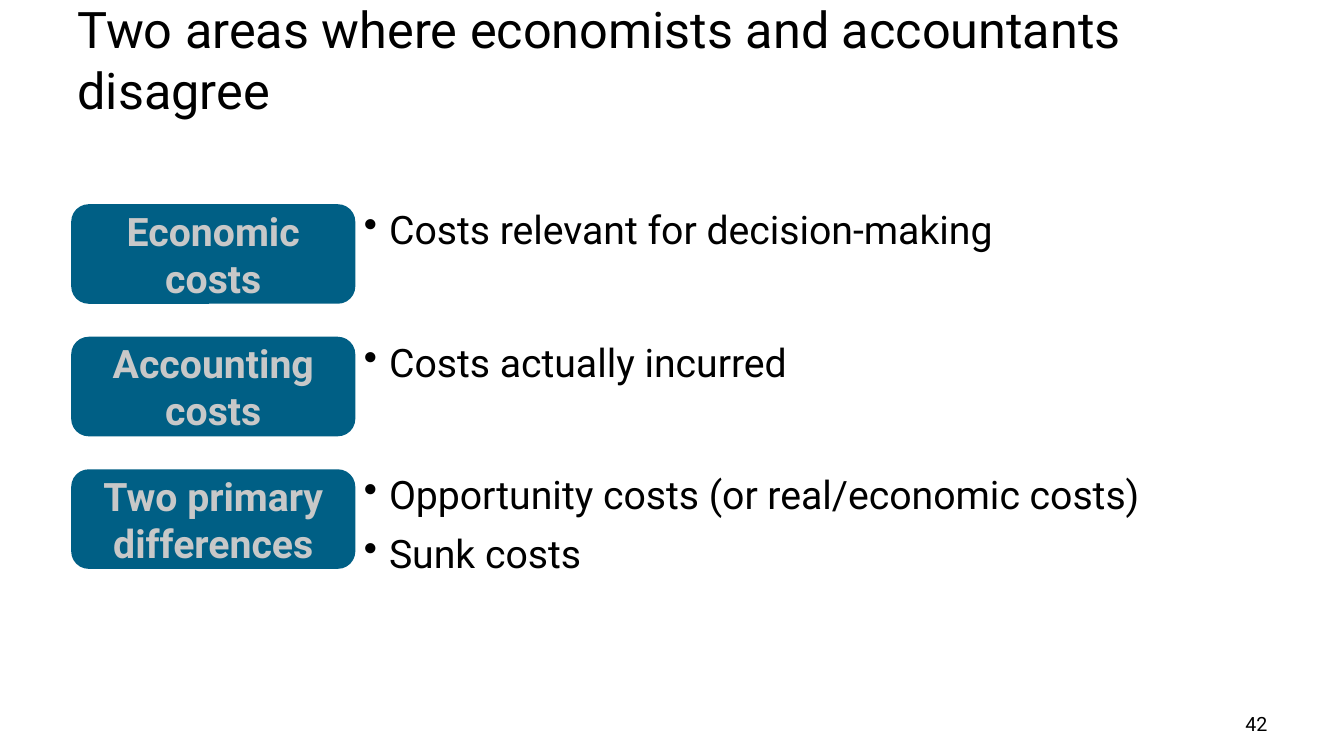
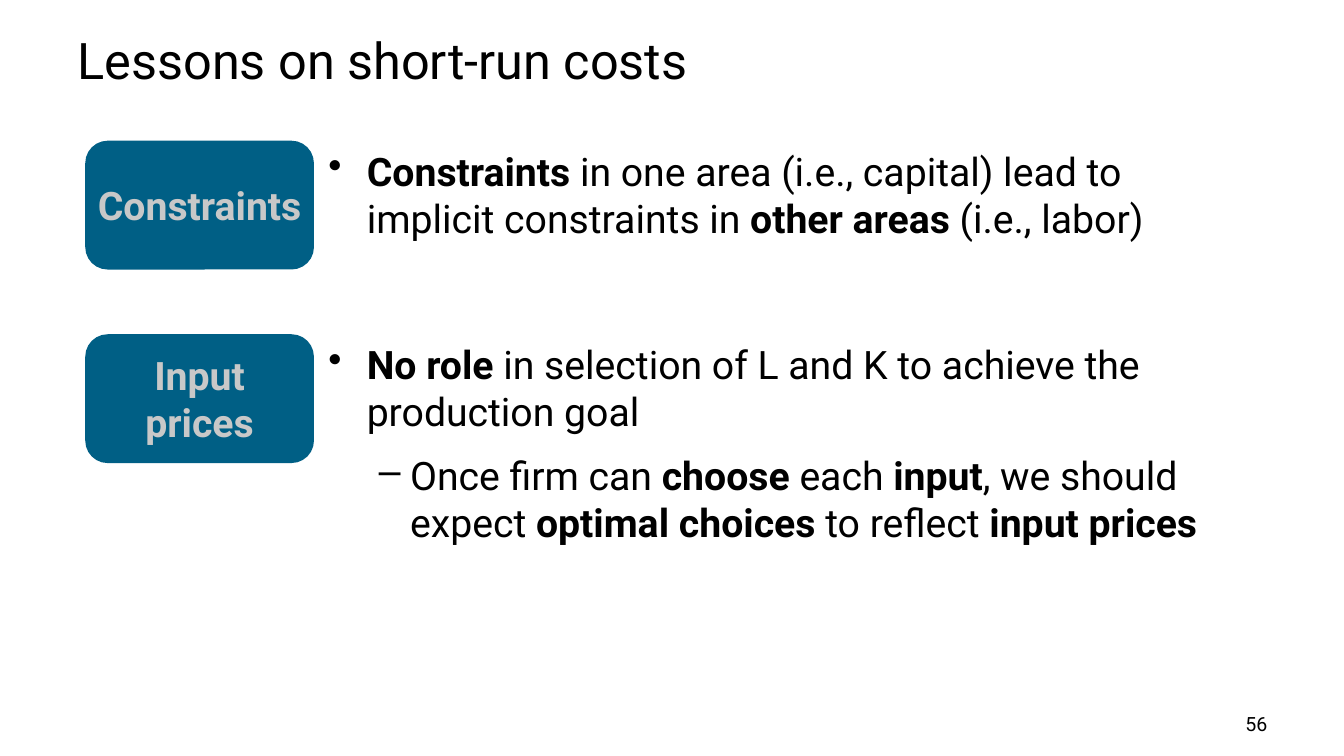
"""Build two slides on economic, accounting and short-run costs."""
from pptx import Presentation
from pptx.dml.color import RGBColor
from pptx.enum.shapes import MSO_SHAPE as SHAPE
from pptx.enum.text import MSO_ANCHOR as ANCHOR, PP_ALIGN as ALIGN
from pptx.util import Inches, Pt
from lxml.etree import SubElement
from pptx.oxml.ns import qn

FONT, BLACK, BLUE, GREY = "Roboto", "000000", "005F85", "C8C8C8"

slides = [
    dict(title="Two areas where economists and accountants disagree", number="42",
         left=0.72, top=2.04, pitch=1.315, size=(2.79, 0.96),
         text_left=3.51, text_width=9.01, indents=[(0.25, 0.25)], spacing=0.9,
         rows=[("Economic costs", 0.1, [(0, "Costs relevant for decision-making")]),
               ("Accounting costs", 0.1, [(0, "Costs actually incurred")]),
               ("Two primary differences", 0.1,
                [(0, "Opportunity costs (or real/economic costs)"), (0, "Sunk costs")])]),
    dict(title="Lessons on short-run costs", number="56",
         left=0.86, top=1.41, pitch=1.92, size=(2.24, 1.25),
         text_left=3.16, text_width=9.1, indents=[(0.38, 0.38), (0.81, 0.31)], spacing=None,
         rows=[("Constraints", 0,
                [(0, "**Constraints **in one area (i.e., capital) lead to implicit "
                     "constraints in **other areas **(i.e., labor)")]),
               ("Input prices", 0.1,
                [(0, "**No role **in selection of L and K to achieve the production goal"),
                 (1, "Once firm can **choose **each **input**, we should expect "
                     "**optimal choices **to reflect **input prices**")])]),
]


def write(paragraph, text, size, color=BLACK, align=ALIGN.LEFT):
    paragraph.alignment = align
    for i, part in enumerate(text.split("**")):
        if part:
            run = paragraph.add_run()
            run.text = part
            style = dict(name=FONT, size=Pt(size), bold=i % 2 == 1)
            for key, value in style.items():
                setattr(run.font, key, value)
            run.font.color.rgb = RGBColor.from_string(color)


def text_frame(slide, left, top, width, height, anchor=ANCHOR.TOP):
    box = slide.shapes.add_textbox(Inches(left), Inches(top), Inches(width), Inches(height))
    box.text_frame.word_wrap = True
    box.text_frame.vertical_anchor = anchor
    return box.text_frame


deck = Presentation()
deck.slide_width, deck.slide_height = Inches(13.33), Inches(7.5)

for content in slides:
    slide = deck.slides.add_slide(deck.slide_layouts[6])
    title = text_frame(slide, 0.67, 0.23, 12, 0.71, ANCHOR.MIDDLE)
    write(title.paragraphs[0], content["title"], 36)
    number = text_frame(slide, 9.56, 7.01, 3.11, 0.34)
    write(number.paragraphs[0], content["number"], 14, align=ALIGN.RIGHT)

    width, height = content["size"]
    for i, (term, inset, points) in enumerate(content["rows"]):
        top = content["top"] + i * content["pitch"]
        label = slide.shapes.add_shape(SHAPE.ROUNDED_RECTANGLE, Inches(content["left"]),
                                       Inches(top), Inches(width), Inches(height))
        label.shadow.inherit = False
        label.fill.solid()
        label.fill.fore_color.rgb = label.line.color.rgb = RGBColor.from_string(BLUE)
        label.line.width = Pt(2)
        frame = label.text_frame
        frame.word_wrap = True
        frame.vertical_anchor = ANCHOR.MIDDLE
        frame.margin_left = frame.margin_right = Inches(inset)
        write(frame.paragraphs[0], f"**{term}**", 28, GREY, ALIGN.CENTER)

        body = text_frame(slide, content["text_left"], top, content["text_width"], height)
        for j, (level, point) in enumerate(points):
            paragraph = body.paragraphs[0] if j == 0 else body.add_paragraph()
            margin, hanging = content["indents"][level]
            properties = paragraph._p.get_or_add_pPr()
            properties.set("marL", str(Inches(margin)))
            properties.set("indent", str(-Inches(hanging)))
            SubElement(properties, qn("a:buChar")).set("char", "•–"[level])
            paragraph.level = level
            paragraph.line_spacing = content["spacing"]
            paragraph.space_after = Pt(12)
            write(paragraph, point, 28)

deck.save("out.pptx")
